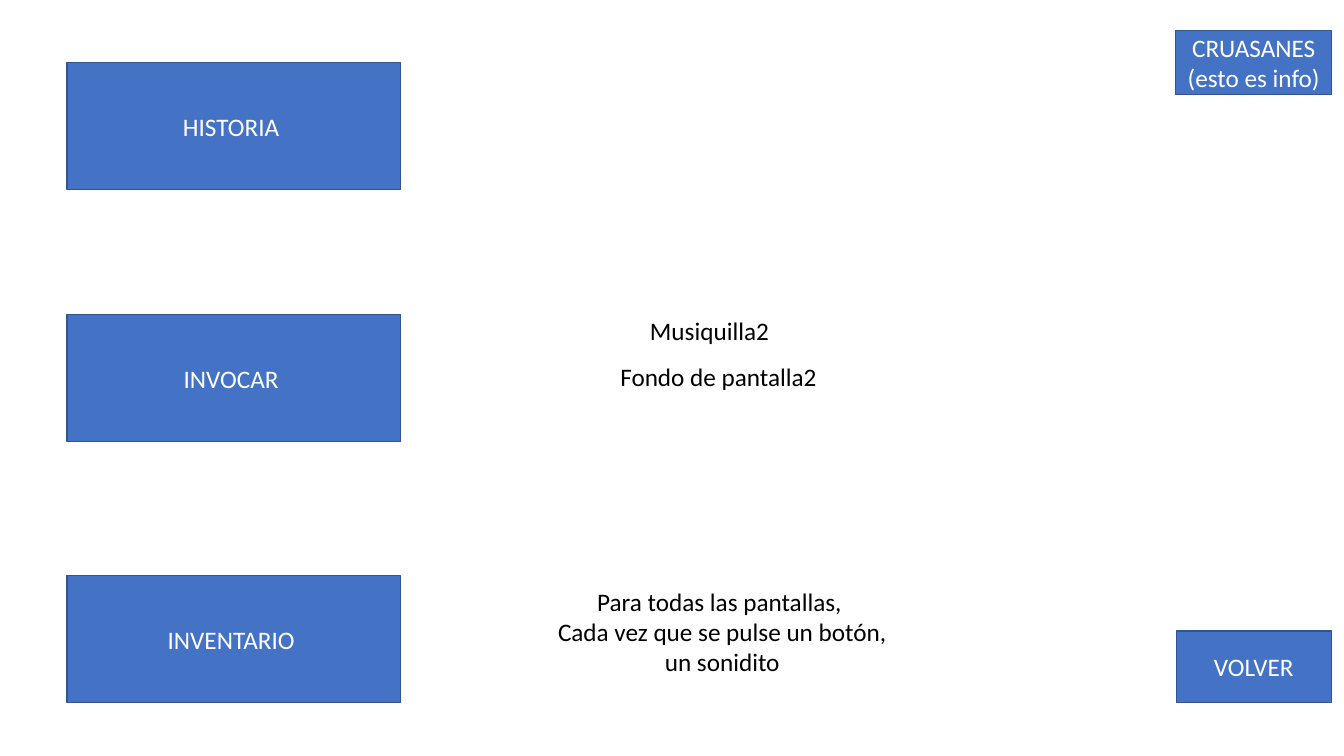
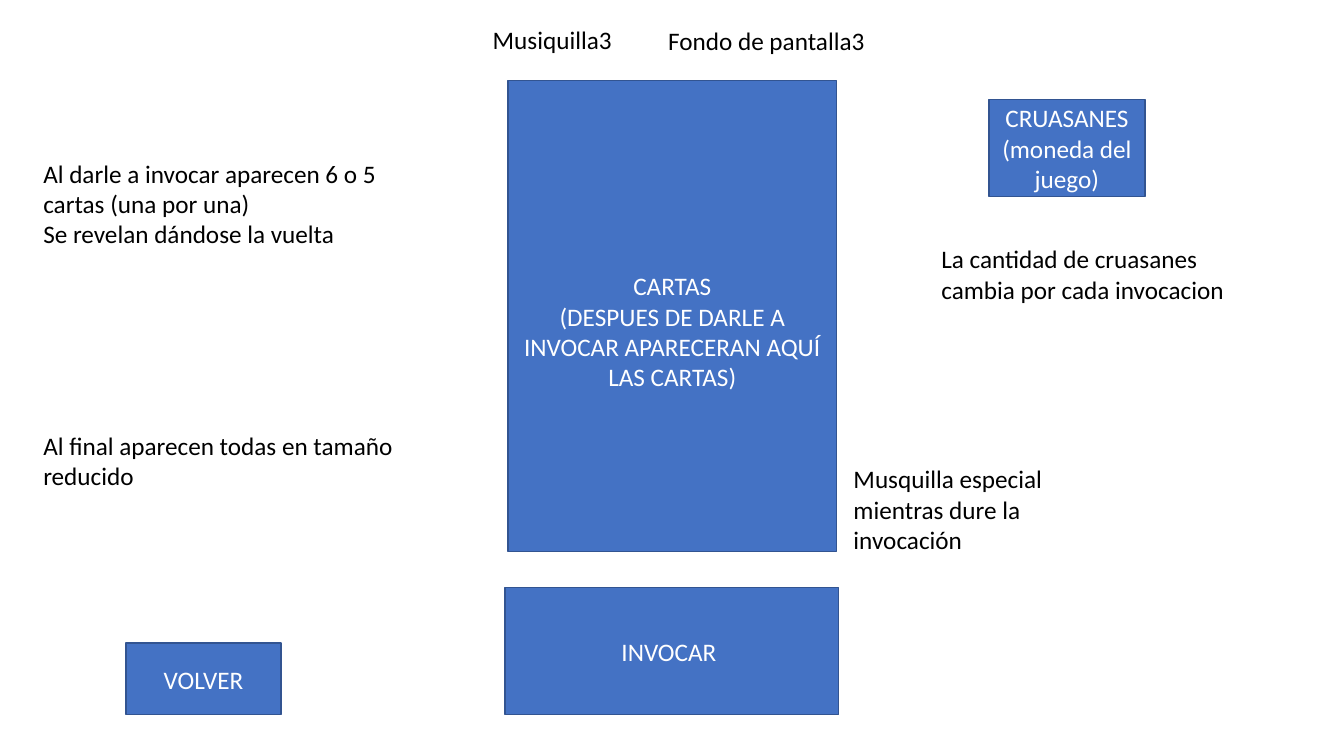
from pptx import Presentation
from pptx.dml.color import RGBColor
from pptx.enum import shapes, text
from pptx.util import Pt

FONT = "Calibri"
FONT_SIZE = 18
LINE_HEIGHT = 21.6
INSET = 3.6
BUTTON_FILL = "4472C4"
BUTTON_LINE = "325491"
BUTTON_TEXT = "FFFFFF"
NOTE_TEXT = "000000"

MENU_SIZE = (238.3, 90.7)
BACK_SIZE = (110.9, 51.1)
COUNTER_WIDTH = 111.6
LABEL_SIZE = (191, 29)


def color(hex_code):
    return RGBColor.from_string(hex_code)


def write(frame, lines, hex_code, align):
    """Fill a frame with one paragraph for each line."""
    frame.word_wrap = True
    for index, line in enumerate(lines):
        paragraph = frame.paragraphs[0] if index == 0 else frame.add_paragraph()
        paragraph.alignment = align
        run = paragraph.add_run()
        run.text = line
        run.font.name = FONT
        run.font.size = Pt(FONT_SIZE)
        run.font.color.rgb = color(hex_code)


def add_button(slide, position, size, *lines):
    button = slide.shapes.add_shape(
        shapes.MSO_SHAPE.RECTANGLE, *map(Pt, position + size))
    button.shadow.inherit = False
    button.fill.solid()
    button.fill.fore_color.rgb = color(BUTTON_FILL)
    button.line.color.rgb = color(BUTTON_LINE)
    button.line.width = Pt(1)
    button.text_frame.vertical_anchor = text.MSO_ANCHOR.MIDDLE
    write(button.text_frame, lines, BUTTON_TEXT, text.PP_ALIGN.CENTER)
    return button


def add_note(slide, position, size, *lines, align=text.PP_ALIGN.LEFT):
    note = slide.shapes.add_textbox(*map(Pt, position + size))
    write(note.text_frame, lines, NOTE_TEXT, align)
    note.text_frame.auto_size = text.MSO_AUTO_SIZE.SHAPE_TO_FIT_TEXT
    return note


def add_menu_screen(slide):
    menu = {"HISTORIA ": 44.8, "INVOCAR ": 224.8, "INVENTARIO ": 411.3}
    for label, top in menu.items():
        add_button(slide, (48, top), MENU_SIZE, label)
    add_button(slide, (839.7, 22), (COUNTER_WIDTH, 45.6),
               "CRUASANES", "(esto es info)")
    add_button(slide, (840.2, 450.6), BACK_SIZE, "VOLVER")

    add_note(slide, (436, 254.3), LABEL_SIZE, "Fondo de pantalla2")
    add_note(slide, (457.2, 222), LABEL_SIZE, "Musiquilla2")
    add_note(slide, (388.1, 415), (255.6, 72.7),
             "Para todas las pantallas, ",
             "Cada vez que se pulse un botón, un sonidito",
             align=text.PP_ALIGN.CENTER)


def add_summon_screen(slide):
    add_button(slide, (360.7, 419.8), MENU_SIZE, "INVOCAR ")
    add_button(slide, (706.3, 71.3), (COUNTER_WIDTH, 69.1),
               "CRUASANES", "(moneda del juego)")
    cards = add_button(slide, (362.9, 57.6), (234.7, 336.2), "CARTAS",
                       "(DESPUES DE DARLE A INVOCAR APARECERAN AQUÍ LAS CARTAS)")
    cards.text_frame.margin_top = Pt(INSET + LINE_HEIGHT)
    add_button(slide, (90, 459.4), BACK_SIZE, "VOLVER")

    add_note(slide, (665.3, 170.6), (226, 51),
             "La cantidad de cruasanes cambia por cada invocacion")
    steps = add_note(slide, (23.8, 109.4), (282.2, 247),
                     "Al darle a invocar aparecen 6 o 5 cartas (una por una)",
                     "Se revelan dándose la vuelta",
                     "Al final aparecen todas en tamaño reducido")
    steps.text_frame.paragraphs[-1].space_before = Pt(6 * LINE_HEIGHT)
    add_note(slide, (344.9, 13.7), LABEL_SIZE, "Musiquilla3")
    add_note(slide, (602.6, 327.6), (211.7, 72.7),
             "Musquilla especial mientras dure la invocación")
    add_note(slide, (470.2, 14.4), LABEL_SIZE, "Fondo de pantalla3")


def main():
    deck = Presentation()
    deck.slide_width, deck.slide_height = Pt(960), Pt(540)
    blank = deck.slide_layouts[6]
    for add_screen in (add_menu_screen, add_summon_screen):
        add_screen(deck.slides.add_slide(blank))
    deck.save("out.pptx")


if __name__ == "__main__":
    main()
